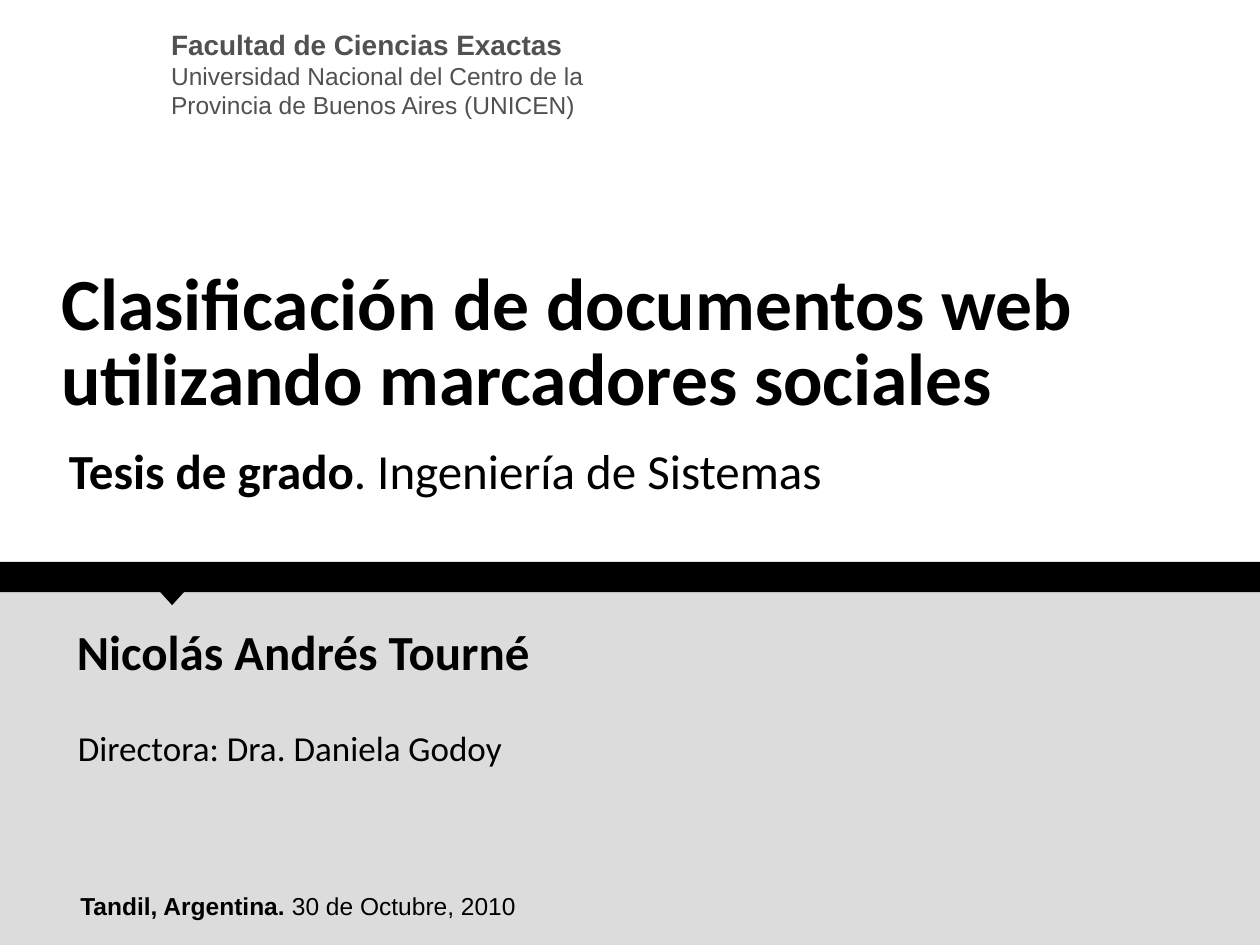
from pptx import Presentation
from pptx.dml import color
from pptx.enum import shapes, text
from pptx import util as u

WIDTH, HEIGHT = 25.4, 19.05
BLACK, GREY, PANEL = "000000", "515151", "DCDCDC"


def rgb(value):
    return color.RGBColor.from_string(value)


def add_block(s, kind, x, y, w, h, fill):
    sp = s.shapes.add_shape(kind, u.Cm(x), u.Cm(y), u.Cm(w), u.Cm(h))
    sp.shadow.inherit = False
    sp.fill.solid()
    sp.fill.fore_color.rgb = rgb(fill)
    sp.line.fill.background()


def add_text(s, x, y, w, h, runs, font, fill=BLACK, anchor="TOP", **spacing):
    tf = s.shapes.add_textbox(u.Cm(x), u.Cm(y), u.Cm(w), u.Cm(h)).text_frame
    tf.word_wrap = True
    tf.vertical_anchor = text.MSO_ANCHOR[anchor]
    p = tf.paragraphs[0]
    for name, value in spacing.items():
        setattr(p, name, value)
    for words, size, bold in runs:
        if words == "\n":
            p.add_line_break()
            continue
        r = p.add_run()
        r.text = words
        r.font.color.rgb = rgb(fill)
        for name, value in {"name": font, "size": u.Pt(size), "bold": bold}.items():
            setattr(r.font, name, value)


def add_institution(s, x, y, w, h):
    add_text(s, x, y, w, h, [
        ("Facultad de Ciencias Exactas", 16, True),
        ("\n", 16, True),
        ("Universidad Nacional del Centro de la Provincia de Buenos Aires (UNICEN)", 14, False),
    ], "Arial", GREY, space_before=u.Pt(8.8))


def add_author_panel(s, x, y, w, h):
    add_block(s, shapes.MSO_SHAPE.RECTANGLE, x, y, w, h, PANEL)
    add_text(s, x + 1.3, y + 0.79, 12.22, 1.45,
             [("Nicolás Andrés Tourné", 28, True)], "Calibri", space_before=u.Pt(17.5))
    add_text(s, x + 1.32, y + 2.92, 11.07, 1.12,
             [("Directora: Dra. Daniela Godoy", 20, False)], "Calibri", space_before=u.Pt(12.5))
    add_text(s, x + 1.37, y + 6.22, 12.5, 0.86,
             [("Tandil, Argentina. ", 14, True), ("30 de Octubre, 2010", 14, False)],
             "Arial", space_before=u.Pt(8.8))


def add_heading(s, x, y, w, h):
    add_text(s, x, y, w, 4.09,
             [("Clasificación de documentos web utilizando marcadores sociales", 42, True)],
             "Calibri", anchor="MIDDLE", line_spacing=0.85)
    add_text(s, x + 0.15, y + h - 1.37, w - 0.51, 1.37,
             [("Tesis de grado", 28, True), (". Ingeniería de Sistemas", 28, False)],
             "Calibri", anchor="MIDDLE")


def add_divider(s, x, y, w, h):
    add_block(s, shapes.MSO_SHAPE.DIAMOND, x + 3.18, y + 0.23, 0.58, 0.64, BLACK)
    add_block(s, shapes.MSO_SHAPE.RECTANGLE, x, y, w, h, BLACK)


def main():
    prs = Presentation()
    prs.slide_width, prs.slide_height = u.Cm(WIDTH), u.Cm(HEIGHT)
    s = prs.slides.add_slide(prs.slide_layouts[6])
    add_author_panel(s, 0, 11.61, WIDTH, HEIGHT - 11.61)
    add_institution(s, 3.2, 0.43, 10.13, 2.13)
    add_heading(s, 0.99, 4.93, 22.71, 5.23)
    add_divider(s, 0, 11.33, WIDTH, 0.61)
    prs.save("out.pptx")


if __name__ == "__main__":
    main()
